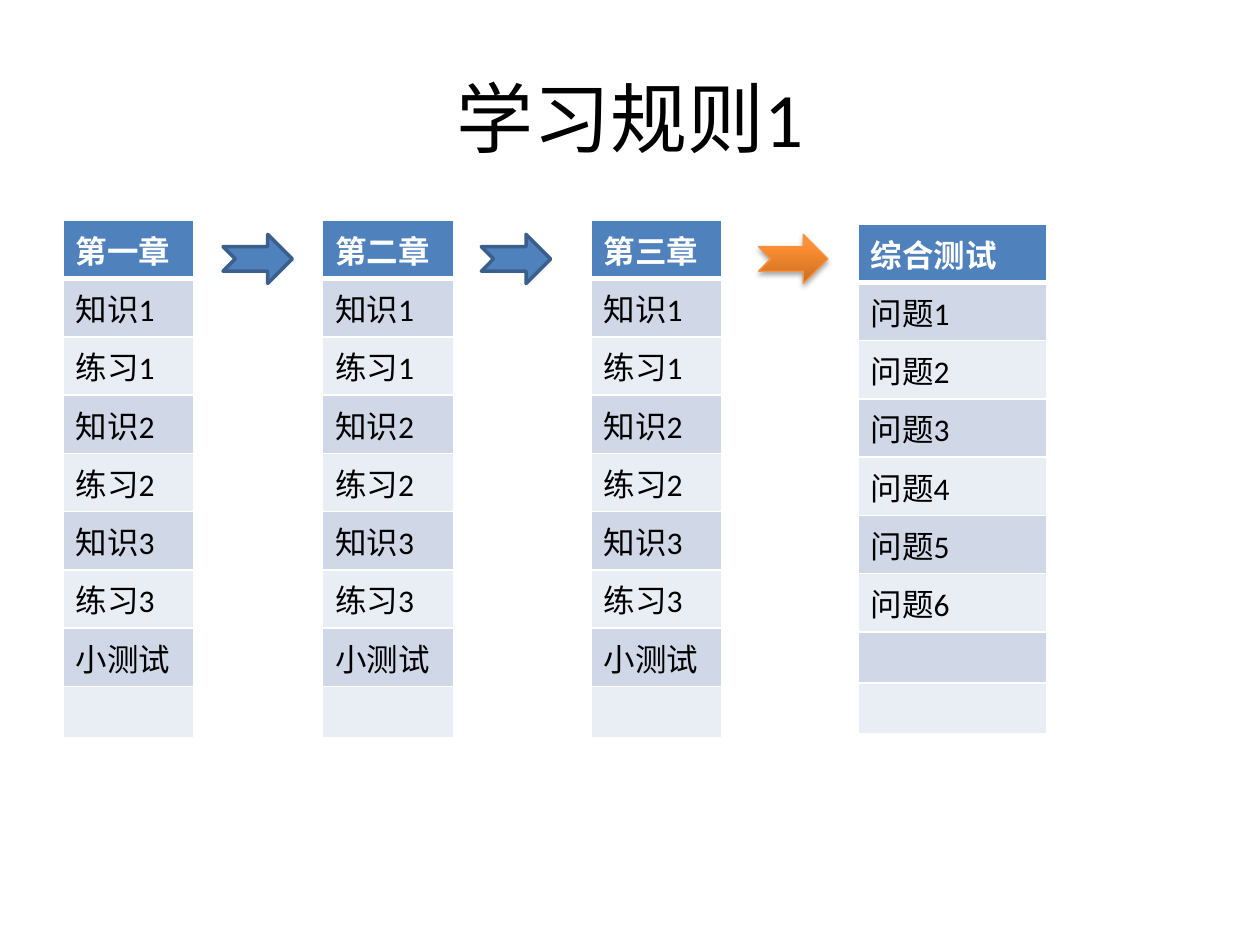
from lxml import etree
from pptx import Presentation
from pptx.dml.color import RGBColor as RGB
from pptx.enum.shapes import MSO_SHAPE as SHAPE
from pptx.enum.text import MSO_ANCHOR as ANCHOR, PP_ALIGN as ALIGN
from pptx.oxml import parse_xml
from pptx.oxml.ns import qn
from pptx.util import Inches, Pt

FONT = "Calibri"
COLORS = {
    "black": "000000", "white": "FFFFFF", "blue": "4F81BD", "edge": "3A5F8C",
    "odd": "D0D8E8", "even": "E9EDF4", "orange": "F69240",
}
GRADE = [(0, "CC6E20"), (80, "FF9034"), (100, "FF9136")]
TITLE = "学习规则1"
STEPS = [f"{kind}{n}" for n in (1, 2, 3) for kind in ("知识", "练习")] + ["小测试"]
TASKS = [f"问题{n}" for n in range(1, 7)]
ROWS = 9
ROW_H = 3.65 / ROWS
# left, top, width, heading, entries
TABLES = [
    (0.5, 1.75, 1.04, "第一章", STEPS),
    (2.56, 1.75, 1.04, "第二章", STEPS),
    (4.69, 1.75, 1.04, "第三章", STEPS),
    (6.81, 1.78, 1.5, "综合测试", TASKS),
]
# left, leads to the final test
ARROWS = [(1.77, False), (3.82, False), (6.02, True)]
NS = 'xmlns:a="http://schemas.openxmlformats.org/drawingml/2006/main"'


def color(name):
    """Return a named colour."""
    return RGB.from_string(COLORS[name])


def write(para, text, size, tone, bold=False):
    """Add one formatted run to a paragraph."""
    run = para.add_run()
    run.text = text
    font = run.font
    font.name, font.size, font.bold = FONT, Pt(size), bold
    font.color.rgb = color(tone)


def border(cell, row):
    """Draw white cell edges, thick under the heading."""
    props = cell._tc.get_or_add_tcPr()
    thick = {"T": row == 1, "B": row == 0}
    for side in "LRTB":
        line = etree.SubElement(props, qn(f"a:ln{side}"))
        line.set("w", str(Pt(3 if thick.get(side) else 1)))
        fill = etree.SubElement(line, qn("a:solidFill"))
        etree.SubElement(fill, qn("a:srgbClr")).set("val", COLORS["white"])


def add_list(slide, left, top, width, head, items):
    """Add a one-column table with a heading."""
    frame = slide.shapes.add_table(
        ROWS, 1, Inches(left), Inches(top), Inches(width), Inches(ROW_H * ROWS))
    texts = [head, *items]
    for row in range(ROWS):
        cell = frame.table.cell(row, 0)
        border(cell, row)
        cell.fill.solid()
        tone = "blue" if row == 0 else "odd" if row % 2 else "even"
        cell.fill.fore_color.rgb = color(tone)
        para = cell.text_frame.paragraphs[0]
        if row < len(texts):
            write(para, texts[row], 18, "black" if row else "white", row == 0)
        else:
            para.font.size = Pt(18)


def glow(shape):
    """Give a shape the orange gradient and a soft shadow."""
    props = shape._element.spPr
    stops = "".join(
        f'<a:gs pos="{pos * 1000}"><a:srgbClr val="{tone}"/></a:gs>'
        for pos, tone in GRADE)
    props.find(qn("a:prstGeom")).addnext(parse_xml(
        f'<a:gradFill {NS} rotWithShape="1"><a:gsLst>{stops}</a:gsLst>'
        '<a:lin ang="16200000" scaled="0"/></a:gradFill>'))
    props.find(qn("a:effectLst")).append(parse_xml(
        f'<a:outerShdw {NS} blurRad="{Pt(3.1)}" dist="{Pt(1.8)}" dir="5400000" '
        f'rotWithShape="0"><a:srgbClr val="{COLORS["black"]}">'
        '<a:alpha val="35000"/></a:srgbClr></a:outerShdw>'))


def add_arrow(slide, left, final):
    """Add a notched arrow between two tables."""
    shape = slide.shapes.add_shape(
        SHAPE.NOTCHED_RIGHT_ARROW, Inches(left), Inches(1.86), Inches(0.55), Inches(0.39))
    shape.shadow.inherit = False
    shape.line.color.rgb = color("orange" if final else "edge")
    shape.line.width = Pt(0.75 if final else 2)
    if final:
        glow(shape)
    else:
        shape.fill.solid()
        shape.fill.fore_color.rgb = color("blue")


deck = Presentation()
deck.slide_width, deck.slide_height = Inches(10), Inches(7.5)
slide = deck.slides.add_slide(deck.slide_layouts[5])

title = slide.shapes.title
title.left, title.top = Inches(0.5), Inches(0.3)
title.width, title.height = Inches(9), Inches(1.25)
title.text_frame.vertical_anchor = ANCHOR.MIDDLE
para = title.text_frame.paragraphs[0]
para.alignment = ALIGN.CENTER
write(para, TITLE, 44, "black")

for table in TABLES:
    add_list(slide, *table)
for arrow in ARROWS:
    add_arrow(slide, *arrow)

deck.save("out.pptx")
